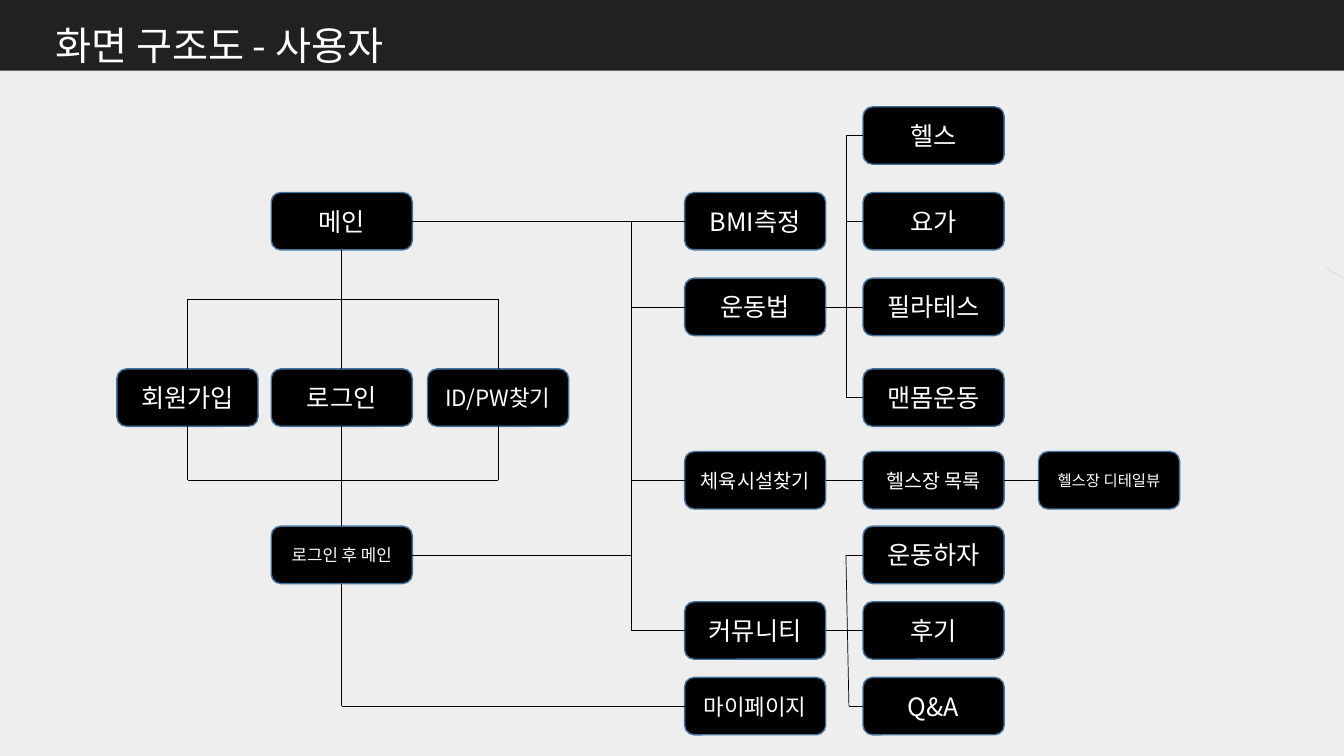
from dataclasses import dataclass

from lxml import etree
from pptx import Presentation
from pptx.dml.color import RGBColor
from pptx.enum.shapes import MSO_CONNECTOR, MSO_SHAPE
from pptx.enum.text import MSO_ANCHOR, PP_ALIGN
from pptx.oxml.ns import qn
from pptx.util import Inches, Pt

STRAIGHT = MSO_CONNECTOR.STRAIGHT
RECTANGLE, ROUNDED = MSO_SHAPE.RECTANGLE, MSO_SHAPE.ROUNDED_RECTANGLE
MIDDLE, CENTER, LEFT = MSO_ANCHOR.MIDDLE, PP_ALIGN.CENTER, PP_ALIGN.LEFT
SLIDE_WIDTH, SLIDE_HEIGHT = 13.33, 7.5


@dataclass(frozen=True)
class Theme:
    background: str = "EEEEEE"
    header: str = "212121"
    node: str = "000000"
    node_border: str = "43739E"
    link: str = "000000"
    accent: str = "D9D9D9"
    text: str = "FFFFFF"
    font: str = "Noto Sans CJK KR"
    title_size: int = 28
    node_size: int = 18
    medium_size: int = 16
    small_size: int = 14
    tiny_size: int = 12
    smallest_size: int = 11


THEME = Theme()

# Offsets of node columns and rows inside the diagram box
COLUMNS = (0, 1.53, 3.08, 5.63, 7.4, 9.14)
ROWS = (0, 0.85, 1.7, 2.6, 3.42, 4.16, 4.91, 5.66)
NODE_WIDTH, NODE_HEIGHT = 1.4, 0.57

# Text, column, row, type size
NODES = (
    ("메인", 1, 1, THEME.node_size),
    ("로그인", 1, 3, THEME.node_size),
    ("회원가입", 0, 3, THEME.node_size),
    ("ID/PW찾기", 2, 3, THEME.medium_size),
    ("로그인 후 메인", 1, 5, THEME.tiny_size),
    ("BMI측정", 3, 1, THEME.node_size),
    ("운동법", 3, 2, THEME.node_size),
    ("체육시설찾기", 3, 4, THEME.small_size),
    ("커뮤니티", 3, 6, THEME.node_size),
    ("마이페이지", 3, 7, THEME.medium_size),
    ("헬스", 4, 0, THEME.node_size),
    ("요가", 4, 1, THEME.node_size),
    ("필라테스", 4, 2, THEME.node_size),
    ("맨몸운동", 4, 3, THEME.node_size),
    ("헬스장 목록", 4, 4, THEME.small_size),
    ("헬스장 디테일뷰", 5, 4, THEME.smallest_size),
    ("운동하자", 4, 5, THEME.node_size),
    ("후기", 4, 6, THEME.node_size),
    ("Q&A", 4, 7, THEME.node_size),
)


def color(value):
    return RGBColor.from_string(value)


def write(paragraph, text, size, alignment):
    paragraph.text = text
    paragraph.alignment = alignment
    font = paragraph.font
    font.name, font.size = THEME.font, Pt(size)
    font.color.rgb = color(THEME.text)
    defaults = paragraph._p.pPr.find(qn("a:defRPr"))
    etree.SubElement(defaults, qn("a:ea")).set("typeface", THEME.font)


def add_box(slide, kind, box, fill, border=None):
    shape = slide.shapes.add_shape(kind, *map(Inches, box))
    shape.shadow.inherit = False
    shape.fill.solid()
    shape.fill.fore_color.rgb = color(fill)
    if border:
        shape.line.color.rgb = color(border)
        shape.line.width = Pt(1)
    else:
        shape.line.fill.background()
    return shape


def add_lines(slide, points, line_color=THEME.link):
    """Join consecutive points with straight lines."""
    for start, end in zip(points, points[1:]):
        connector = slide.shapes.add_connector(
            STRAIGHT, *map(Inches, (*start, *end)))
        connector.line.color.rgb = color(line_color)
        connector.line.width = Pt(0.5)
        etree.SubElement(connector._element.spPr, qn("a:effectLst"))


def add_header(slide, box):
    left, top, width, height = box
    add_box(slide, RECTANGLE, box, THEME.header)
    title = slide.shapes.add_textbox(
        Inches(left + 0.45), Inches(top - 0.06), Inches(4.57), Inches(height + 0.1))
    title.text_frame.word_wrap = True
    paragraph = title.text_frame.paragraphs[0]
    paragraph.line_spacing = 1.5
    write(paragraph, "화면 구조도 - 사용자", THEME.title_size, LEFT)


def add_diagram(slide, box):
    left, top = box[:2]
    lefts = [left + offset for offset in COLUMNS]
    rights = [x + NODE_WIDTH for x in lefts]
    centers = [x + NODE_WIDTH / 2 for x in lefts]
    tops = [top + offset for offset in ROWS]
    bottoms = [y + NODE_HEIGHT for y in tops]
    middles = [y + NODE_HEIGHT / 2 for y in tops]

    # Nodes
    for text, column, row, size in NODES:
        node = add_box(slide, ROUNDED,
                       (lefts[column], tops[row], NODE_WIDTH, NODE_HEIGHT),
                       THEME.node, THEME.node_border)
        node.text_frame.word_wrap = True
        node.text_frame.vertical_anchor = MIDDLE
        write(node.text_frame.paragraphs[0], text, size, CENTER)

    # Main page to login and on to the signed-in main page
    for upper, lower in ((1, 3), (3, 5)):
        add_lines(slide, [(centers[1], bottoms[upper]), (centers[1], tops[lower])])
    for edge, rail in ((tops[3], top + 1.91), (bottoms[3], middles[4])):
        add_lines(slide, [(centers[0], edge), (centers[0], rail),
                          (centers[2], rail), (centers[2], edge)])

    # Trunk to the menu pages
    trunk = left + 5.1
    add_lines(slide, [(rights[1], middles[1]), (lefts[3], middles[1])])
    add_lines(slide, [(trunk, middles[1]), (trunk, middles[6]), (lefts[3], middles[6])])
    for row in (2, 4):
        add_lines(slide, [(trunk, middles[row]), (lefts[3], middles[row])])
    add_lines(slide, [(rights[1], middles[5]), (trunk, middles[5])])
    add_lines(slide, [(centers[1], bottoms[5]), (centers[1], middles[7]),
                      (lefts[3], middles[7])])

    # Menu pages to their subpages
    for column, row in ((3, 2), (3, 4), (4, 4), (3, 6)):
        add_lines(slide, [(rights[column], middles[row]),
                          (lefts[column + 1], middles[row])])
    branch = left + 7.23
    for first, last, lean in ((0, 3, 0), (5, 7, 0.03)):
        add_lines(slide, [(lefts[4], middles[first]), (branch, middles[first]),
                          (branch + lean, middles[last]), (lefts[4], middles[last])])
    add_lines(slide, [(branch, middles[1]), (lefts[4], middles[1])])


def main():
    presentation = Presentation()
    presentation.slide_width = Inches(SLIDE_WIDTH)
    presentation.slide_height = Inches(SLIDE_HEIGHT)
    slide = presentation.slides.add_slide(presentation.slide_layouts[6])
    slide.background.fill.solid()
    slide.background.fill.fore_color.rgb = color(THEME.background)

    # Accent line running to the right edge
    add_lines(slide, [(13.15, 2.66), (SLIDE_WIDTH, 2.76)], THEME.accent)
    add_header(slide, (0, -0.01, SLIDE_WIDTH, 0.71))
    add_diagram(slide, (1.16, 1.06, 10.54, 6.23))
    presentation.save("out.pptx")


if __name__ == "__main__":
    main()
